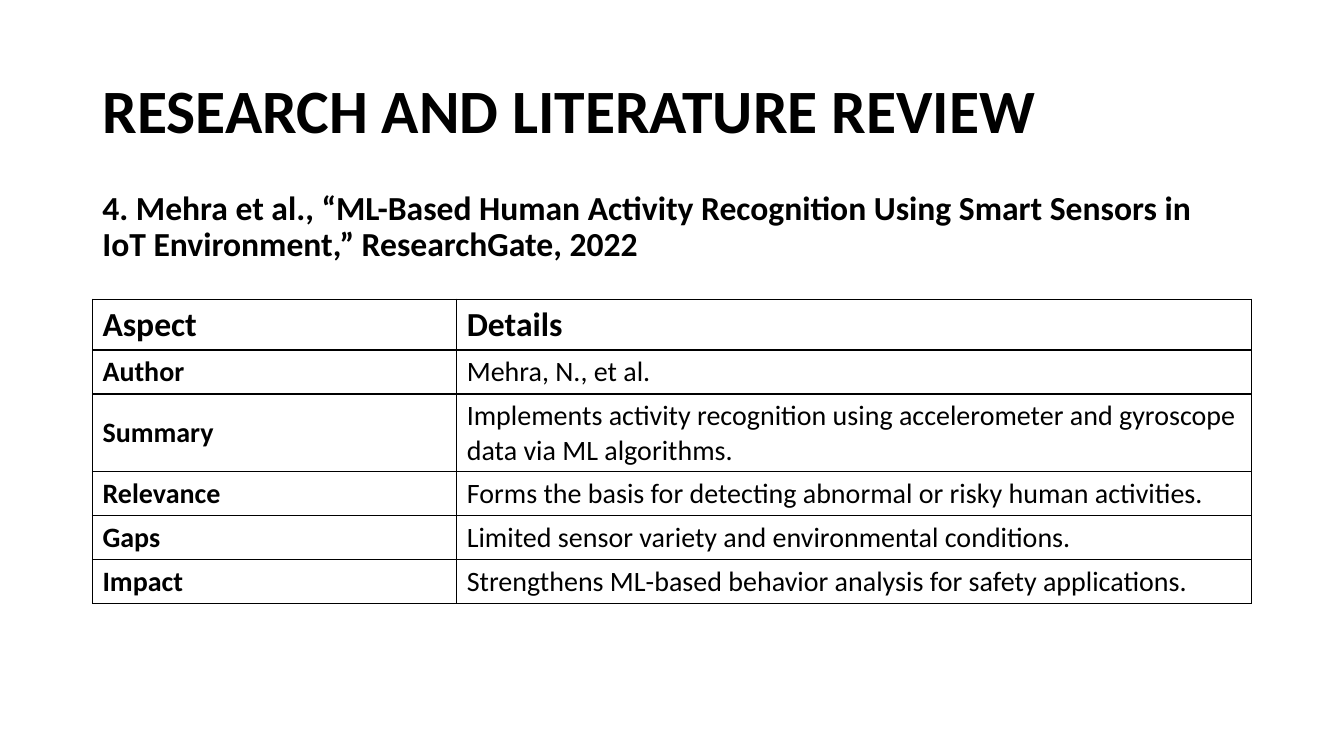
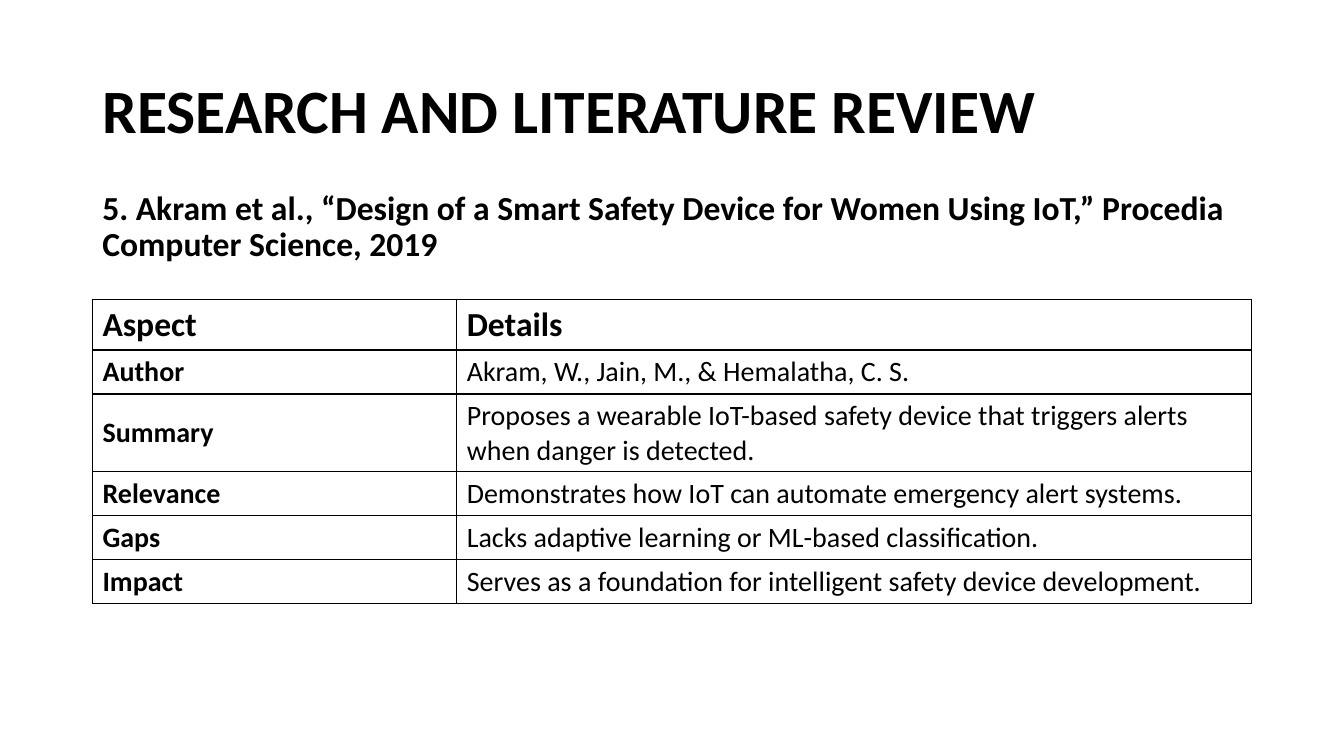
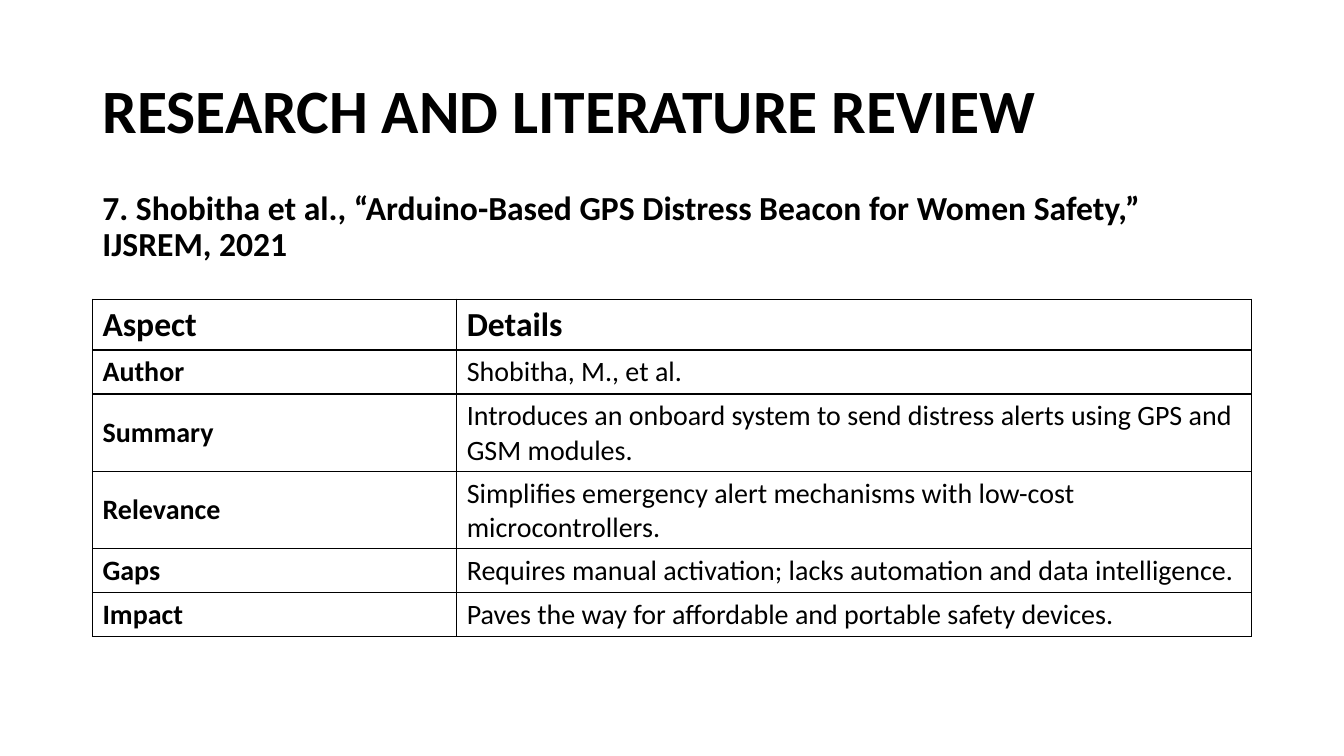
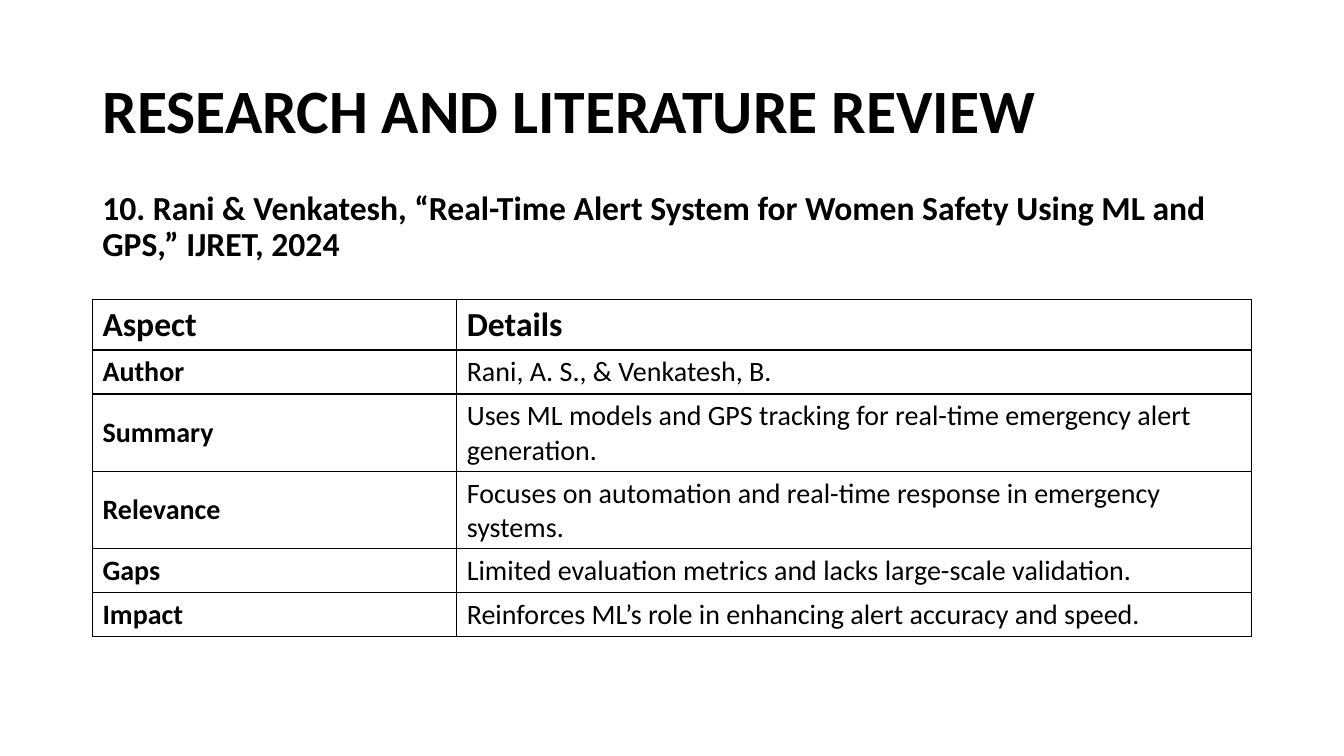
from lxml import etree
from pptx import Presentation
from pptx import util as u
from pptx.dml.color import RGBColor
from pptx.enum import text as t
from pptx.oxml import ns

BLACK = RGBColor(0, 0, 0)
WHITE = RGBColor(255, 255, 255)
FONT = "Calibri"
TITLE = "RESEARCH AND LITERATURE REVIEW"
ASPECTS = ["Author", "Summary", "Relevance", "Gaps", "Impact"]

# Shared grid
LEFT, WIDTH = u.Cm(2.33), u.Cm(29.21)
COLS = [u.Cm(9.18), u.Cm(20.03)]
HEAD, ROW = u.Cm(1.28), u.Cm(1.11)

# One entry per slide: the paper and its details, in the order of ASPECTS
PAPERS = [
    ("4. Mehra et al., “ML-Based Human Activity Recognition Using Smart "
     "Sensors in IoT Environment,” ResearchGate, 2022",
     ["Mehra, N., et al.",
      "Implements activity recognition using accelerometer and gyroscope "
      "data via ML algorithms.",
      "Forms the basis for detecting abnormal or risky human activities.",
      "Limited sensor variety and environmental conditions.",
      "Strengthens ML-based behavior analysis for safety applications."]),
    ("5. Akram et al., “Design of a Smart Safety Device for Women Using "
     "IoT,” Procedia Computer Science, 2019",
     ["Akram, W., Jain, M., & Hemalatha, C. S.",
      "Proposes a wearable IoT-based safety device that triggers alerts "
      "when danger is detected.",
      "Demonstrates how IoT can automate emergency alert systems.",
      "Lacks adaptive learning or ML-based classification.",
      "Serves as a foundation for intelligent safety device development."]),
    ("7. Shobitha et al., “Arduino-Based GPS Distress Beacon for Women "
     "Safety,” IJSREM, 2021",
     ["Shobitha, M., et al.",
      "Introduces an onboard system to send distress alerts using GPS and "
      "GSM modules.",
      "Simplifies emergency alert mechanisms with low-cost "
      "microcontrollers.",
      "Requires manual activation; lacks automation and data intelligence.",
      "Paves the way for affordable and portable safety devices."]),
    ("10. Rani & Venkatesh, “Real-Time Alert System for Women Safety Using "
     "ML and GPS,” IJRET, 2024",
     ["Rani, A. S., & Venkatesh, B.",
      "Uses ML models and GPS tracking for real-time emergency alert "
      "generation.",
      "Focuses on automation and real-time response in emergency systems.",
      "Limited evaluation metrics and lacks large-scale validation.",
      "Reinforces ML’s role in enhancing alert accuracy and speed."]),
]


def write(frame, words, size=20, bold=True, space=1.0,
          anchor=t.MSO_ANCHOR.MIDDLE):
    frame.word_wrap = True
    frame.vertical_anchor = anchor
    para = frame.paragraphs[0]
    para.alignment = t.PP_ALIGN.LEFT
    para.line_spacing = space
    run = para.add_run()
    run.text = words
    run.font.name = FONT
    run.font.size = u.Pt(size)
    run.font.bold = bold
    run.font.color.rgb = BLACK


def border(cell):
    props = cell._tc.get_or_add_tcPr()
    for side in ("a:lnL", "a:lnR", "a:lnT", "a:lnB"):
        line = etree.SubElement(props, ns.qn(side), w=str(u.Pt(1)))
        fill = etree.SubElement(line, ns.qn("a:solidFill"))
        etree.SubElement(fill, ns.qn("a:srgbClr"), val=str(BLACK))


deck = Presentation()
deck.slide_width, deck.slide_height = u.Cm(33.87), u.Cm(19.05)

for paper, facts in PAPERS:
    slide = deck.slides.add_slide(deck.slide_layouts[5])
    slide.background.fill.solid()
    slide.background.fill.fore_color.rgb = WHITE

    # Title
    title = slide.shapes.title
    title.left, title.top = LEFT, u.Cm(1.01)
    title.width, title.height = WIDTH, u.Cm(3.68)
    write(title.text_frame, TITLE, size=44, space=0.9)

    # Paper reference
    ref = slide.shapes.add_textbox(LEFT, u.Cm(4.7), WIDTH, u.Cm(2.3))
    write(ref.text_frame, paper, size=24, space=0.9,
          anchor=t.MSO_ANCHOR.TOP)

    # Review table
    rows = [("Aspect", "Details"), *zip(ASPECTS, facts)]
    table = slide.shapes.add_table(
        len(rows), len(COLS), LEFT, u.Cm(7.54), WIDTH,
        HEAD + ROW * len(facts)).table
    table.first_row = table.horz_banding = False
    for col, width in zip(table.columns, COLS):
        col.width = width
    for r, row in enumerate(rows):
        table.rows[r].height = ROW if r else HEAD
        for c, words in enumerate(row):
            cell = table.cell(r, c)
            border(cell)
            cell.fill.background()
            cell.vertical_anchor = t.MSO_ANCHOR.MIDDLE
            write(cell.text_frame, words, size=20 if r else 24,
                  bold=r == 0 or c == 0)

deck.save("out.pptx")
